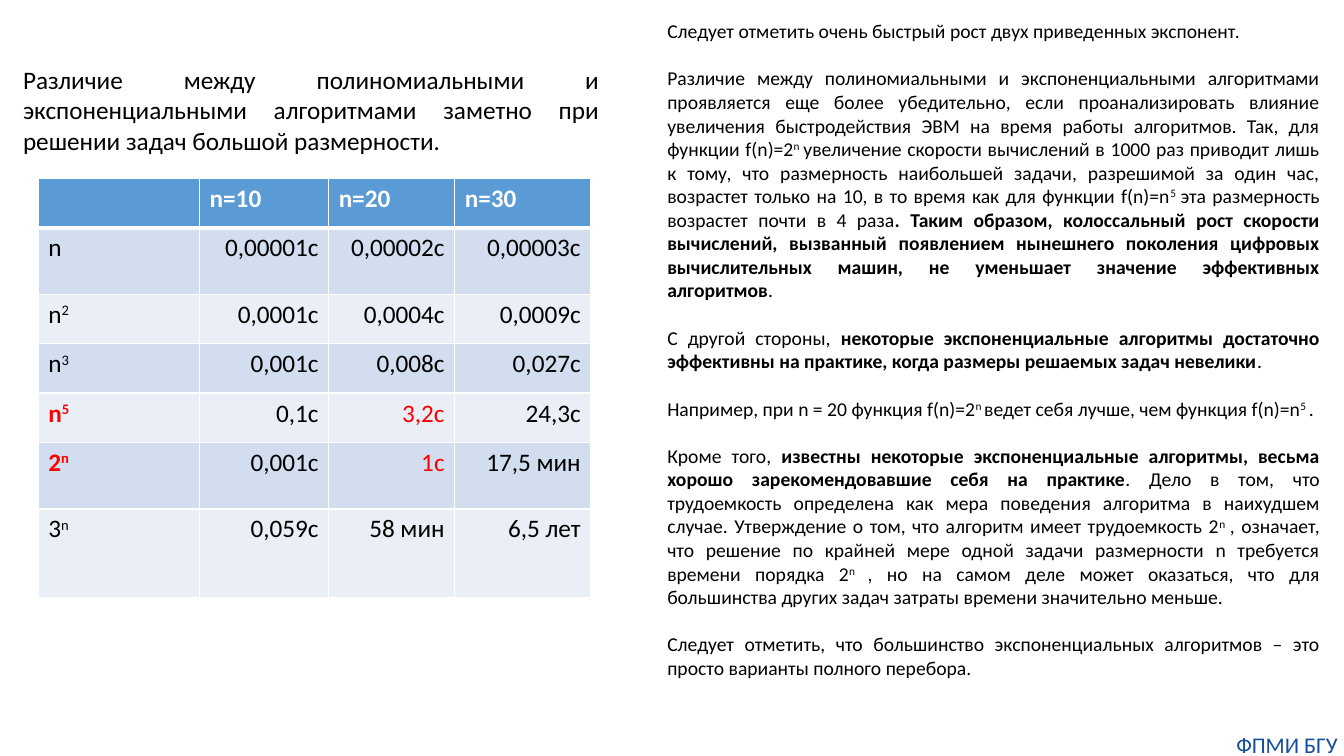
from dataclasses import dataclass

from lxml.etree import SubElement
from pptx import Presentation
from pptx.dml.color import RGBColor
from pptx.enum.text import MSO_AUTO_SIZE as AutoSize, PP_ALIGN as Align
from pptx.oxml.ns import qn
from pptx.util import Inches, Pt


@dataclass(frozen=True)
class Theme:
    font: str = "Calibri"
    ink: str = "000000"
    white: str = "FFFFFF"
    red: str = "FF0000"
    footer: str = "144E9D"
    header: str = "5B9BD5"
    bands: tuple = ("D2DEEF", "EAEFF7")
    large: int = 18
    body: int = 14
    small: int = 16
    paragraph_gap: int = 17


THEME = Theme()

INTRO = ["Различие между полиномиальными и экспоненциальными алгоритмами заметно "
         "при решении задач большой размерности."]

# Markup: *bold*, ^superscript^
DISCUSSION = [
    "Следует отметить очень быстрый рост двух приведенных экспонент. ",
    "Различие между полиномиальными и экспоненциальными алгоритмами проявляется еще "
    "более убедительно, если проанализировать влияние увеличения быстродействия ЭВМ "
    "на время работы алгоритмов. Так, для функции f(n)=2^n ^увеличение скорости "
    "вычислений в 1000 раз приводит лишь к тому, что размерность наибольшей задачи, "
    "разрешимой за один час, возрастет только на 10, в то время как для функции "
    "f(n)=n^5 ^эта размерность возрастет почти в 4 раза*. Таким образом, колоссальный "
    "рост скорости вычислений, вызванный появлением нынешнего поколения цифровых "
    "вычислительных машин, не уменьшает значение эффективных алгоритмов*. ",
    "С другой стороны, *некоторые экспоненциальные алгоритмы достаточно эффективны на "
    "практике, когда размеры решаемых задач невелики*. ",
    "Например, при n = 20 функция f(n)=2^n ^ведет себя лучше, чем функция f(n)=n^5 ^. ",
    "Кроме того, *известны некоторые экспоненциальные алгоритмы, весьма хорошо "
    "зарекомендовавшие себя на практике*. Дело в том, что трудоемкость определена как "
    "мера поведения алгоритма в наихудшем случае. Утверждение о том, что алгоритм имеет "
    "трудоемкость 2^n ^, означает, что решение по крайней мере одной задачи размерности "
    "n требуется времени порядка 2^n ^, но на самом деле может оказаться, что для "
    "большинства других задач затраты времени значительно меньше. ",
    "Следует отметить, что большинство экспоненциальных алгоритмов – это просто "
    "варианты полного перебора.",
]

TIMES = [
    ["", "*n=10*", "*n=20*", "*n=30*"],
    ["n", "0,00001с", "0,00002с", "0,00003с"],
    ["n^2^", "0,0001с", "0,0004с", "0,0009с"],
    ["n^3^", "0,001с", "0,008с", "0,027с"],
    ["*n^5^*", "0,1с", "3,2с", "24,3с"],
    ["*2^n^*", "0,001с", "1с", "17,5 мин"],
    ["3^n^", "0,059c", "58 мин", "6,5 лет"],
]
RED_CELLS = {(4, 0), (4, 2), (5, 0), (5, 2)}
COLUMN_WIDTHS = [1.6, 1.28, 1.25, 1.35]
ROW_HEIGHTS = [0.49, 0.66, 0.49, 0.49, 0.49, 0.66, 0.88]


def add_runs(p, markup, size, color):
    """Turn *bold* and ^superscript^ markup into formatted runs."""
    for i, part in enumerate(markup.split("*")):
        for j, text in enumerate(part.split("^")):
            if not text:
                continue
            r = p.add_run()
            r.text = text
            r.font.name = THEME.font
            r.font.size = Pt(size)
            r.font.bold = i % 2 == 1
            r.font.color.rgb = RGBColor.from_string(color)
            if j % 2:
                r.font._element.set("baseline", "30000")


def add_text(slide, box, paragraphs, size, color=THEME.ink, align=Align.JUSTIFY, inset=True):
    tf = slide.shapes.add_textbox(*map(Inches, box)).text_frame
    tf.word_wrap = True
    tf.auto_size = AutoSize.SHAPE_TO_FIT_TEXT
    if not inset:
        tf.margin_left = tf.margin_right = tf.margin_top = tf.margin_bottom = 0
    for i, markup in enumerate(paragraphs):
        p = tf.add_paragraph() if i else tf.paragraphs[0]
        p.alignment = align
        if i:
            p.space_before = Pt(THEME.paragraph_gap)
        add_runs(p, markup, size, color)


def add_borders(cell, widths):
    """Draw white borders; widths maps a side (L, R, T, B) to points."""
    tcPr = cell._tc.get_or_add_tcPr()
    for i, (side, width) in enumerate(widths.items()):
        ln = SubElement(tcPr, qn(f"a:ln{side}"), w=str(Pt(width)))
        SubElement(SubElement(ln, qn("a:solidFill")), qn("a:srgbClr"), val=THEME.white)
        tcPr.insert(i, ln)


def add_times_table(slide, left, top):
    size = Inches(sum(COLUMN_WIDTHS)), Inches(sum(ROW_HEIGHTS))
    table = slide.shapes.add_table(len(TIMES), len(COLUMN_WIDTHS),
                                   Inches(left), Inches(top), *size).table
    for column, width in zip(table.columns, COLUMN_WIDTHS):
        column.width = Inches(width)
    for row, height in zip(table.rows, ROW_HEIGHTS):
        row.height = Inches(height)
    for i, values in enumerate(TIMES):
        fill = THEME.bands[(i - 1) % 2] if i else THEME.header
        borders = {"L": 1, "R": 1, "B": 1} if i else {"L": 1, "R": 1, "T": 1, "B": 3}
        for j, markup in enumerate(values):
            cell = table.cell(i, j)
            cell.fill.solid()
            cell.fill.fore_color.rgb = RGBColor.from_string(fill)
            add_borders(cell, borders)
            p = cell.text_frame.paragraphs[0]
            p.alignment = Align.RIGHT if i and j else Align.LEFT
            p.font.size = Pt(THEME.large)
            body_color = THEME.red if (i, j) in RED_CELLS else THEME.ink
            add_runs(p, markup, THEME.large, body_color if i else THEME.white)


def main():
    prs = Presentation()
    prs.slide_width, prs.slide_height = Inches(13.33), Inches(7.5)
    slide = prs.slides.add_slide(prs.slide_layouts[6])
    add_times_table(slide, 0.38, 1.77)
    add_text(slide, (0.13, 0.59, 5.91, 1.01), INTRO, THEME.large)
    add_text(slide, (6.52, 0.14, 6.67, 6.7), DISCUSSION, THEME.body)
    add_text(slide, (12.2, 7.25, 1.13, 0.27), ["ФПМИ БГУ"], THEME.small,
             THEME.footer, Align.CENTER, inset=False)
    prs.save("out.pptx")


if __name__ == "__main__":
    main()
